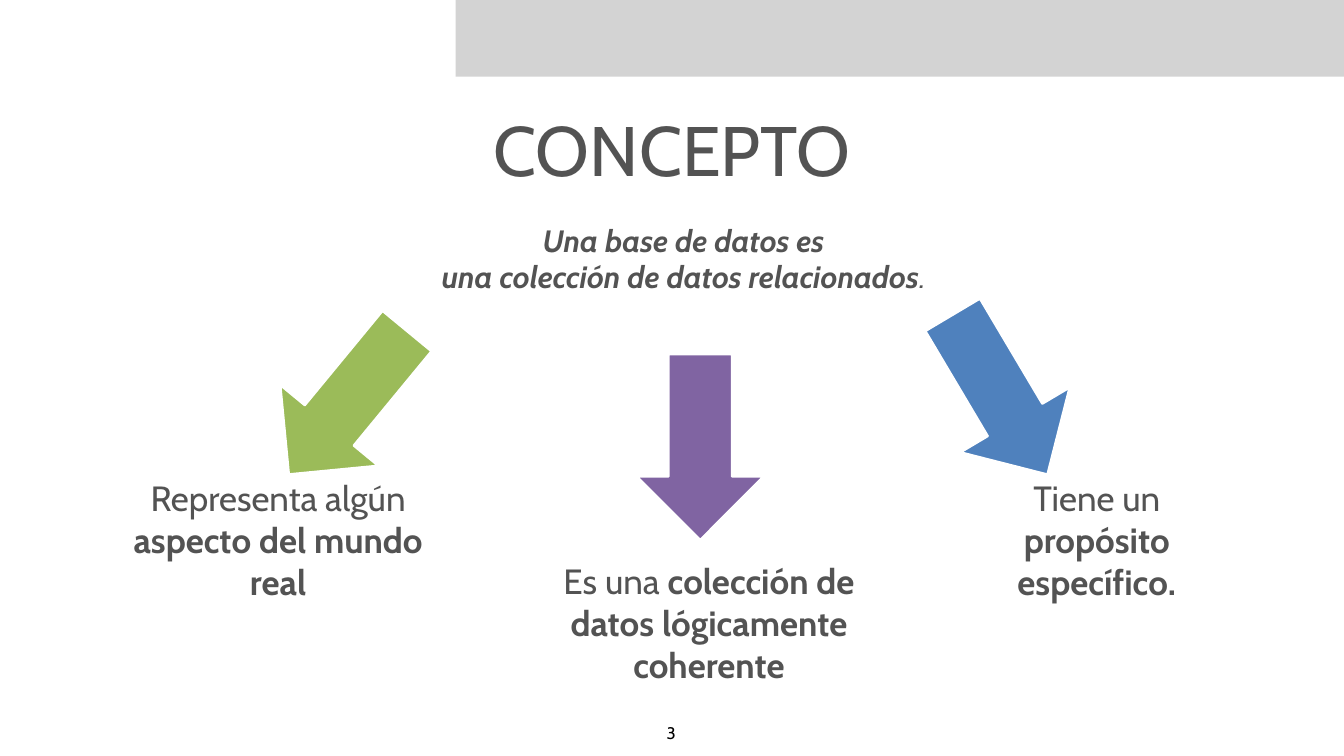
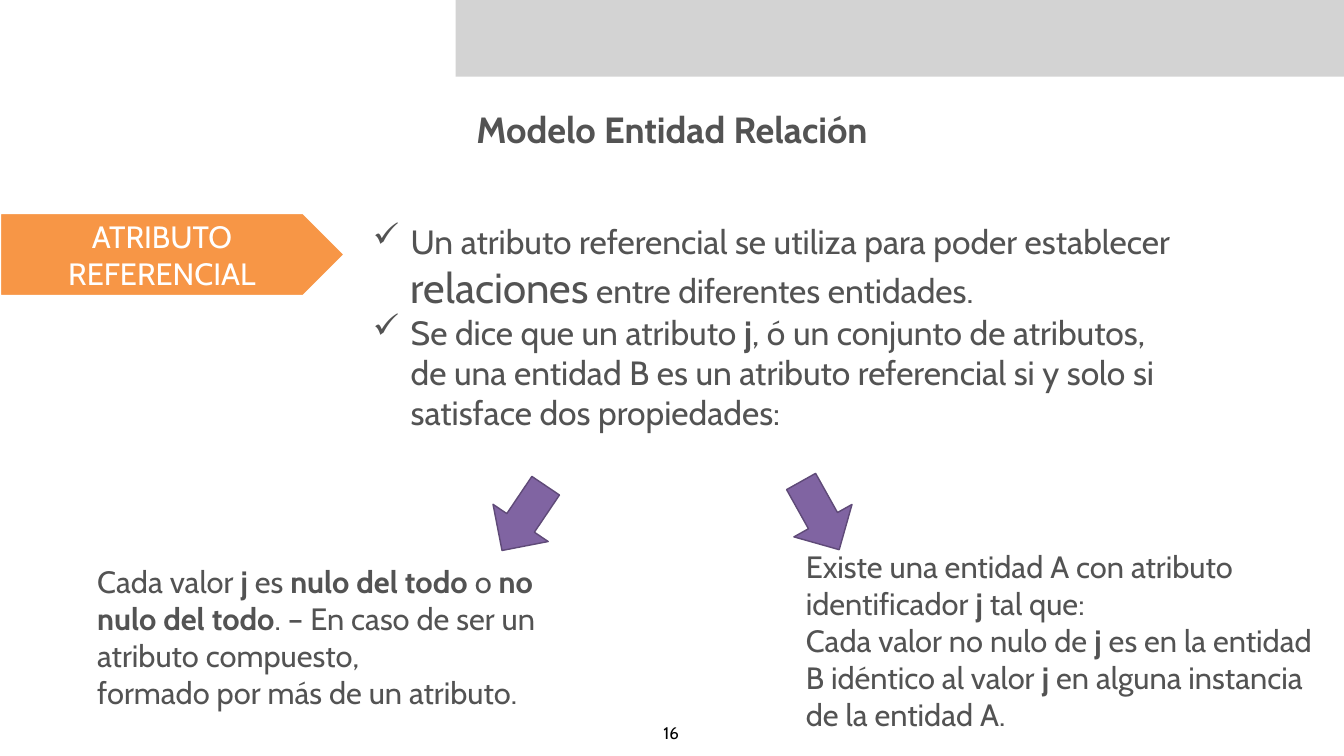
"""Builds two slides on database concepts and referential attributes."""
from lxml import etree
from pptx import Presentation
from pptx import util as u
from pptx.dml.color import RGBColor
from pptx.enum import shapes, text
from pptx.oxml.ns import qn

FONT = "Cabin"
COLORS = {
    "text": "535353", "band": "D3D3D3", "white": "FFFFFF", "black": "000000",
    "green": "9BBB59", "blue": "4F81BD", "purple": "8064A2",
    "purple_edge": "5F4A78", "orange": "F79646",
}
LEFT, CENTER = text.PP_ALIGN.LEFT, text.PP_ALIGN.CENTER
INDENT = u.Inches(0.75)


def write(shape, paragraphs, size, align=CENTER, color="text", bullet=None):
    """Fill a shape with paragraphs in which **marked** parts are bold."""
    frame = shape.text_frame
    frame.word_wrap = True
    frame.auto_size = text.MSO_AUTO_SIZE.NONE
    frame.vertical_anchor = text.MSO_ANCHOR.MIDDLE
    frame.margin_left = frame.margin_right = u.Inches(0.08)
    frame.margin_top = frame.margin_bottom = u.Inches(0.08)
    for index, content in enumerate(paragraphs):
        paragraph = frame.add_paragraph() if index else frame.paragraphs[0]
        paragraph.alignment = align
        if bullet:
            properties = paragraph._p.get_or_add_pPr()
            properties.set("marL", str(INDENT))
            properties.set("indent", str(-INDENT))
            etree.SubElement(properties, qn("a:buChar")).set("char", bullet)
        for part_index, part in enumerate(content.split("**")):
            if part:
                run = paragraph.add_run()
                run.text = part
                run.font.name = FONT
                run.font.size = u.Pt(size)
                run.font.bold = part_index % 2 == 1
                run.font.color.rgb = RGBColor.from_string(COLORS[color])
    return frame


def add_block(slide, kind, box, fill, line=None, width=3, rotation=0):
    """Add a flat preset shape."""
    shape = slide.shapes.add_shape(kind, *map(u.Inches, box))
    shape.shadow.inherit = False
    shape.rotation = rotation
    shape.fill.solid()
    shape.fill.fore_color.rgb = RGBColor.from_string(COLORS[fill])
    if line:
        shape.line.color.rgb = RGBColor.from_string(COLORS[line])
        shape.line.width = u.Pt(width)
    else:
        shape.line.fill.background()
    return shape


presentation = Presentation()
presentation.slide_width = u.Inches(26.67)
presentation.slide_height = u.Inches(15)

slides = []
for title, top, height, size, number in [
    ("CONCEPTO", 2.03, 1.84, 100, "3"),
    ("**Modelo Entidad Relación**", 2.05, 1.03, 52, "16"),
]:
    slide = presentation.slides.add_slide(presentation.slide_layouts[5])
    add_block(slide, shapes.MSO_SHAPE.RECTANGLE, (9.04, -0.04, 17.68, 1.56), "band")
    heading = slide.shapes.title
    heading.left, heading.top = u.Inches(5.29), u.Inches(top)
    heading.width, heading.height = u.Inches(16.09), u.Inches(height)
    write(heading, [title], size)
    page_number = slide.shapes.add_textbox(*map(u.Inches, (13.07, 14.26, 0.5, 0.55)))
    write(page_number, [number], 24, color="black").word_wrap = False
    slides.append(slide)
concept, model = slides

definition = concept.shapes.add_textbox(*map(u.Inches, (5.52, 4.31, 16.09, 1.64)))
definition_frame = write(
    definition,
    ["**Una base de datos es**", "**una colección de datos relacionados**."],
    44,
)
definition_frame.vertical_anchor = text.MSO_ANCHOR.TOP
for paragraph in definition_frame.paragraphs:
    for run in paragraph.runs:
        run.font.italic = True

for box, feature in [
    ((1.99, 9.37, 7.06, 2.68), "Representa algún **aspecto del mundo real**"),
    ((10.54, 11.01, 7.06, 2.68), "Es una **colección de datos lógicamente coherente**"),
    ((18.99, 9.37, 5.55, 2.68), "Tiene un **propósito específico.**"),
]:
    write(concept.shapes.add_textbox(*map(u.Inches, box)), [feature], 50)

for left, top, rotation, fill in [
    (5.65, 6.15, 39.5, "green"),
    (18.59, 5.99, 329.3, "blue"),
    (12.64, 7.03, 0, "purple"),
]:
    add_block(concept, shapes.MSO_SHAPE.DOWN_ARROW, (left, top, 2.51, 3.68),
              fill, "white", rotation=rotation)

label = add_block(model, shapes.MSO_SHAPE.PENTAGON, (0, 4.23, 6.84, 1.64),
                  "orange", "white")
write(label, ["ATRIBUTO", "REFERENCIAL"], 44, color="white")

explanation = model.shapes.add_textbox(*map(u.Inches, (7.32, 3.88, 16, 5.2)))
explanation_frame = write(
    explanation,
    [
        "Un atributo referencial se utiliza para poder establecer "
        "****relaciones**** entre diferentes entidades.",
        "Se dice que un atributo **j**, ó un conjunto de atributos, de una entidad B "
        "es un atributo referencial si y solo si satisface dos propiedades:",
    ],
    48, LEFT, bullet="✓",
)
explanation_frame.paragraphs[0].runs[1].font.size = u.Pt(60)

for box, paragraphs in [
    ((1.85, 11.07, 9.97, 3.12), [
        "Cada valor **j **es **nulo del todo **o **no nulo del todo**. "
        "– En caso de ser un atributo compuesto,",
        "formado por más de un atributo.",
    ]),
    ((15.91, 10.78, 10.51, 3.86), [
        "Existe una entidad A con atributo identificador **j **tal que:",
        "Cada valor no nulo de **j **es en la entidad B idéntico al valor "
        "**j **en alguna instancia de la entidad A.",
    ]),
]:
    write(model.shapes.add_textbox(*map(u.Inches, box)), paragraphs, 44, LEFT)

for left, top, rotation in [(9.62, 9.62, 304), (15.5, 9.57, 240.8)]:
    add_block(model, shapes.MSO_SHAPE.LEFT_ARROW, (left, top, 1.55, 1.32),
              "purple", "purple_edge", 2, rotation)

presentation.save("out.pptx")
